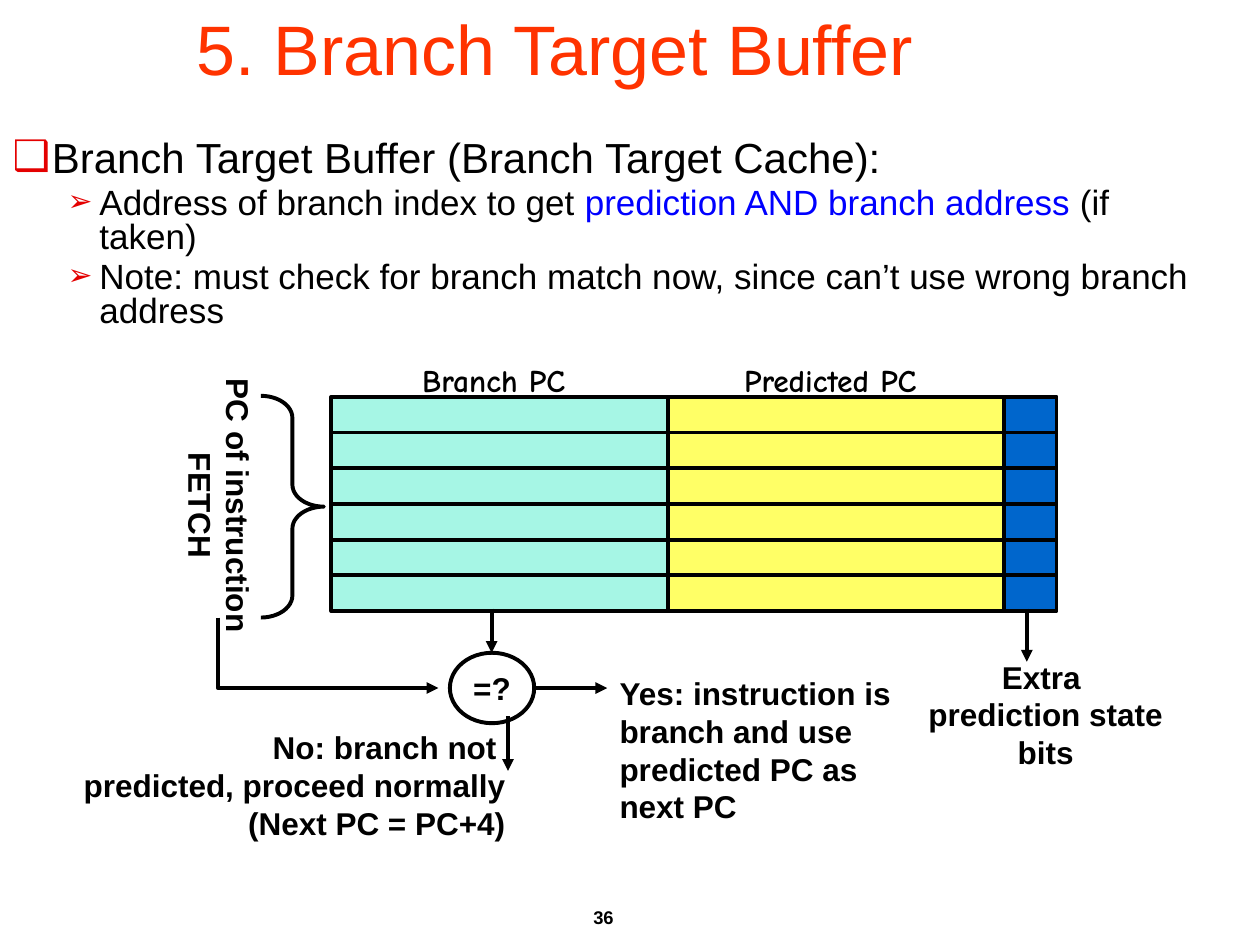
from lxml import etree
from pptx import Presentation
from pptx import util as u
from pptx.dml.color import RGBColor
from pptx.enum import shapes, text
from pptx.oxml import ns

COLORS = {
    "title": "FF3300", "text": "000000", "accent": "0000FF", "bullet": "E40000",
    "branch": "A6F6E5", "predicted": "FFFF66", "state": "0066CC",
}
LEFT, CENTER, RIGHT = text.PP_ALIGN.LEFT, text.PP_ALIGN.CENTER, text.PP_ALIGN.RIGHT


def rgb(name):
    return RGBColor.from_string(COLORS[name])


def add_xml(parent, tag, **attributes):
    return etree.SubElement(parent, ns.qn(tag), attributes)


class Diagram:
    """Holds the slide being drawn and the style shared by its parts."""
    font, label_font = "Arial", "Comic Neue"
    line_width = u.Pt(2.25)

    def __init__(self, slide):
        self.slide = slide

    def add_words(self, paragraph, words, size, color="text", bold=False, font=None):
        run = paragraph.add_run()
        run.text = words
        run.font.name = font or self.font
        run.font.size = u.Pt(size)
        run.font.bold = bold
        run.font.color.rgb = rgb(color)

    def place(self, shape, box):
        shape.left, shape.top, shape.width, shape.height = map(u.Cm, box)

    def title(self, words, box):
        title = self.slide.shapes.title
        self.place(title, box)
        frame = title.text_frame
        frame.auto_size = text.MSO_AUTO_SIZE.NONE
        frame.vertical_anchor = text.MSO_ANCHOR.MIDDLE
        frame.paragraphs[0].alignment = LEFT
        self.add_words(frame.paragraphs[0], words, 40, "title")

    def bullets(self, items, box):
        """Each item is a level and a list of (words, color) runs."""
        styles = [("❑", 0.79, 0.79, 100, 24), ("➢", 1.75, 0.64, 85, 20)]
        body = self.slide.placeholders[1]
        self.place(body, box)
        frame = body.text_frame
        frame.auto_size = text.MSO_AUTO_SIZE.NONE
        for index, (level, runs) in enumerate(items):
            paragraph = frame.add_paragraph() if index else frame.paragraphs[0]
            mark, margin, hanging, percent, size = styles[level]
            paragraph.level = level
            props = paragraph._p.get_or_add_pPr()
            props.set("marL", str(u.Cm(margin)))
            props.set("indent", str(-u.Cm(hanging)))
            color = add_xml(props, "a:buClr")
            add_xml(color, "a:srgbClr", val=COLORS["bullet"])
            add_xml(props, "a:buSzPct", val=str(percent * 1000))
            add_xml(props, "a:buChar", char=mark)
            paragraph.line_spacing = 0.8
            paragraph.space_before = u.Pt(4 if index else 0)
            for words, run_color in runs:
                self.add_words(paragraph, words, size, run_color)

    def label(self, lines, box, align=CENTER, size=18, font=None, wrap=False,
              rotation=0, anchor=text.MSO_ANCHOR.MIDDLE):
        label = self.slide.shapes.add_textbox(*map(u.Cm, box))
        label.rotation = rotation
        self.fill_text(label, lines, align, size, font, wrap, anchor)

    def fill_text(self, shape, lines, align=CENTER, size=18, font=None, wrap=False,
                  anchor=text.MSO_ANCHOR.MIDDLE):
        frame = shape.text_frame
        frame.word_wrap = wrap
        frame.vertical_anchor = anchor
        for index, line in enumerate(lines):
            paragraph = frame.add_paragraph() if index else frame.paragraphs[0]
            paragraph.alignment = align
            self.add_words(paragraph, line, size, bold=True, font=font)

    def outline(self, shape):
        shape.line.color.rgb = rgb("text")
        shape.line.width = self.line_width

    def shape(self, kind, box, fill=None):
        shape = self.slide.shapes.add_shape(kind, *map(u.Cm, box))
        shape.shadow.inherit = False
        if fill:
            shape.fill.solid()
            shape.fill.fore_color.rgb = rgb(fill)
        else:
            shape.fill.background()
        self.outline(shape)
        return shape

    def arrowhead(self, shape):
        line = shape.element.spPr.find(ns.qn("a:ln"))
        add_xml(line, "a:tailEnd", type="triangle")

    def arrow(self, start, end):
        arrow = self.slide.shapes.add_connector(
            shapes.MSO_CONNECTOR.STRAIGHT, *map(u.Cm, start + end))
        self.outline(arrow)
        self.arrowhead(arrow)
        add_xml(arrow.element.spPr, "a:effectLst")

    def bent_arrow(self, *points):
        start, *rest = [(u.Cm(x), u.Cm(y)) for x, y in points]
        builder = self.slide.shapes.build_freeform(*start)
        builder.add_line_segments(rest, close=False)
        bent = builder.convert_to_shape()
        bent.shadow.inherit = False
        bent.fill.background()
        self.outline(bent)
        self.arrowhead(bent)

    def buffer(self, left, top, row_height, rows, columns):
        for row in range(rows):
            x = left
            for fill, width in columns:
                self.shape(shapes.MSO_SHAPE.RECTANGLE,
                           (x, top + row * row_height, width, row_height), fill)
                x += width


def main():
    deck = Presentation()
    deck.slide_width, deck.slide_height = u.Cm(25.4), u.Cm(19.05)
    diagram = Diagram(deck.slides.add_slide(deck.slide_layouts[1]))

    diagram.title("5. Branch Target Buffer", (3.7, 0, 21.7, 1.93))
    diagram.bullets([
        (0, [("Branch Target Buffer (Branch Target Cache):", "text")]),
        (1, [("Address of branch index to get ", "text"),
             ("prediction AND branch address", "accent"),
             (" (if taken)", "text")]),
        (1, [("Note: must check for branch match now, since can’t use wrong "
              "branch address", "text")]),
    ], (0, 2.72, 24.33, 3.81))

    diagram.buffer(6.68, 8, 0.72, 6,
                   [("branch", 6.78), ("predicted", 6.78), ("state", 1.06)])
    diagram.label(["Branch PC"], (8.15, 7.14, 3.61, 1.02), font=diagram.label_font)
    diagram.label(["Predicted PC"], (14.53, 7.14, 4.42, 1.02), font=diagram.label_font)

    diagram.label(["PC of instruction", "FETCH"], (1.6, 9.3, 5.66, 1.78), rotation=90)
    brace = diagram.shape(shapes.MSO_SHAPE.RIGHT_BRACE, (5.26, 7.98, 1.27, 4.47))
    brace.adjustments[0] = 0.35

    compare = diagram.shape(shapes.MSO_SHAPE.OVAL, (9.07, 13.16, 1.7, 1.42))
    diagram.fill_text(compare, ["=?"])
    diagram.bent_arrow((4.39, 12.45), (4.39, 13.87), (8.84, 13.87))
    for start, end in [
        ((9.91, 12.27), (9.91, 13.16)),
        ((20.7, 12.27), (20.7, 13.34)),
        ((10.74, 13.87), (12.24, 13.87)),
        ((10.24, 14.43), (10.24, 15.54)),
    ]:
        diagram.arrow(start, end)

    diagram.label(["Extra ", "prediction state", "bits"], (18.36, 13.13, 5.44, 2.54))
    diagram.label(["Yes: instruction is branch and use predicted PC as next PC"],
                  (12.24, 13.46, 6.15, 3.3), LEFT, wrap=True)
    diagram.label(["No: branch not ", "predicted, proceed normally", "(Next PC = PC+4)"],
                  (1.3, 14.55, 9.14, 2.54), RIGHT)
    diagram.label(["36"], (7.34, 18.14, 5.28, 1.27), RIGHT, size=10.5, wrap=True,
                  anchor=text.MSO_ANCHOR.TOP)
    deck.save("out.pptx")


if __name__ == "__main__":
    main()
